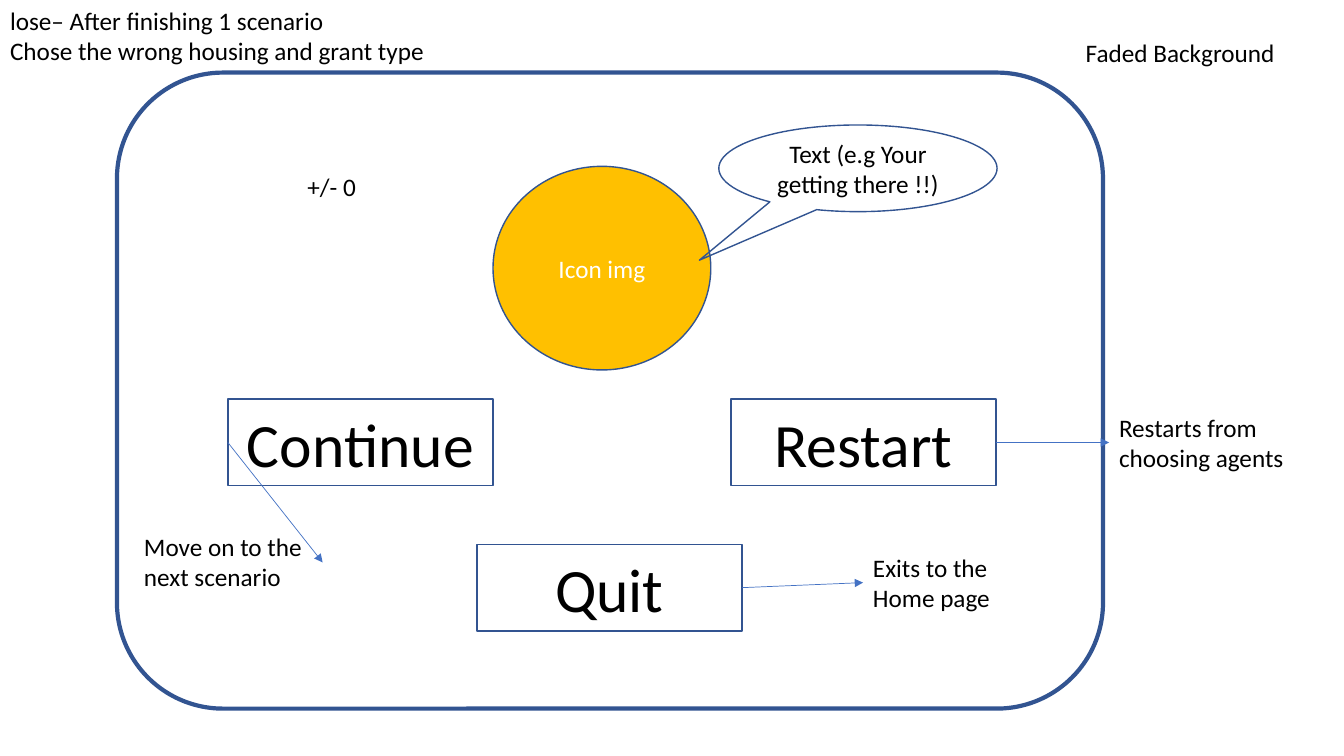
from dataclasses import dataclass

from lxml.etree import SubElement as Sub
from pptx import Presentation
from pptx.dml.color import RGBColor as Rgb
from pptx.enum.shapes import MSO_CONNECTOR as Conn, MSO_SHAPE as Kind
from pptx.enum.text import MSO_ANCHOR as Anchor, MSO_AUTO_SIZE as Auto, PP_ALIGN as Align
from pptx.oxml.ns import qn
from pptx.util import Inches, Pt


@dataclass(frozen=True)
class Theme:
    """Hold the colours, font and sizes."""
    ink: Rgb = Rgb.from_string("000000")
    white: Rgb = Rgb.from_string("FFFFFF")
    gold: Rgb = Rgb.from_string("FFC000")
    edge: Rgb = Rgb.from_string("325491")
    arrow: Rgb = Rgb.from_string("4472C4")
    face: str = "Calibri"
    note: int = 18
    label: int = 44
    thin: float = 0.5
    line: int = 1
    thick: int = 3


THEME = Theme()
BUTTON = (2.63, 0.86)


def put(item, vals):
    """Set each named value on an object."""
    for name, val in vals.items():
        setattr(item, name, val)


def write(shape, text, size=THEME.note, color=THEME.ink, align=Align.LEFT,
          anchor=Anchor.TOP, fit=Auto.NONE):
    """Fill a shape with styled text, one paragraph a line."""
    frame = shape.text_frame
    frame.text = text
    put(frame, {"word_wrap": True, "vertical_anchor": anchor, "auto_size": fit})
    for para in frame.paragraphs:
        para.alignment = align
        put(para.font, {"name": THEME.face, "size": Pt(size), "bold": False})
        para.font.color.rgb = color


def head(slide, text, box):
    """Place the slide title."""
    title = slide.shapes.title
    put(title, dict(zip(("left", "top", "width", "height"), map(Inches, box))))
    write(title, text)


def note(slide, text, box):
    """Add a plain text note."""
    write(slide.shapes.add_textbox(*map(Inches, box)), text, fit=Auto.SHAPE_TO_FIT_TEXT)


def draw(slide, kind, box, text="", fill=None, width=THEME.line, **style):
    """Add an outlined shape with centred text."""
    shape = slide.shapes.add_shape(kind, *map(Inches, box))
    shape.shadow.inherit = False
    if fill is None:
        shape.fill.background()
    else:
        shape.fill.solid()
        shape.fill.fore_color.rgb = fill
    shape.line.color.rgb = THEME.edge
    shape.line.width = Pt(width)
    if text:
        write(shape, text, align=Align.CENTER, anchor=Anchor.MIDDLE, **style)
    return shape


def button(slide, text, left, top):
    """Add a large menu button."""
    return draw(slide, Kind.RECTANGLE, (left, top, *BUTTON), text, size=THEME.label)


def arrow(slide, shape, site, end):
    """Run an arrow from a side of a shape to a point."""
    x, y = map(Inches, end)
    link = slide.shapes.add_connector(Conn.STRAIGHT, shape.left, shape.top, x, y)
    link.begin_connect(shape, site)
    link.line.color.rgb = THEME.arrow
    link.line.width = Pt(THEME.thin)
    Sub(link.line._get_or_add_ln(), qn("a:tailEnd"), type="triangle")
    Sub(link._element.spPr, qn("a:effectLst"))


def main():
    """Build and save the slide."""
    deck = Presentation()
    put(deck, {"slide_width": Inches(13.33), "slide_height": Inches(7.5)})
    slide = deck.slides.add_slide(deck.slide_layouts[5])

    head(slide, "lose– After finishing 1 scenario\n"
         "Chose the wrong housing and grant type", (0, 0, 4.53, 0.71))
    draw(slide, Kind.OVAL, (4.89, 1.65, 2.16, 2.02), "Icon img",
         fill=THEME.gold, color=THEME.white)
    draw(slide, Kind.ROUNDED_RECTANGLE, (1.16, 0.72, 9.78, 6.31), width=THEME.thick)

    left, right, end = 1, 3, {}
    for text, x, y, site, end in (
        ("Continue", 2.26, 3.96, left, (3.2, 5.58)),
        ("Restart", 7.25, 3.96, right, (11, 4.39)),
        ("Quit", 4.73, 5.4, right, (8.56, 5.78)),
    ):
        arrow(slide, button(slide, text, x, y), site, end)

    for text, box in (
        ("Faded Background", (10.67, 0.32, 2.44, 0.4)),
        ("+/- 0", (2.95, 1.65, 1.94, 0.4)),
        ("Restarts from choosing agents", (11, 4.04, 1.85, 0.71)),
        ("Exits to the Home page", (8.56, 5.43, 1.85, 0.71)),
        ("Move on to the next scenario", (1.33, 5.22, 1.87, 0.71)),
    ):
        note(slide, text, box)

    talk = draw(slide, Kind.OVAL_CALLOUT, (7.13, 1.24, 2.76, 0.86),
                "Text (e.g Your getting there !!)")
    talk.adjustments[0], talk.adjustments[1] = -0.57, 1.06
    deck.save("out.pptx")


if __name__ == "__main__":
    main()
